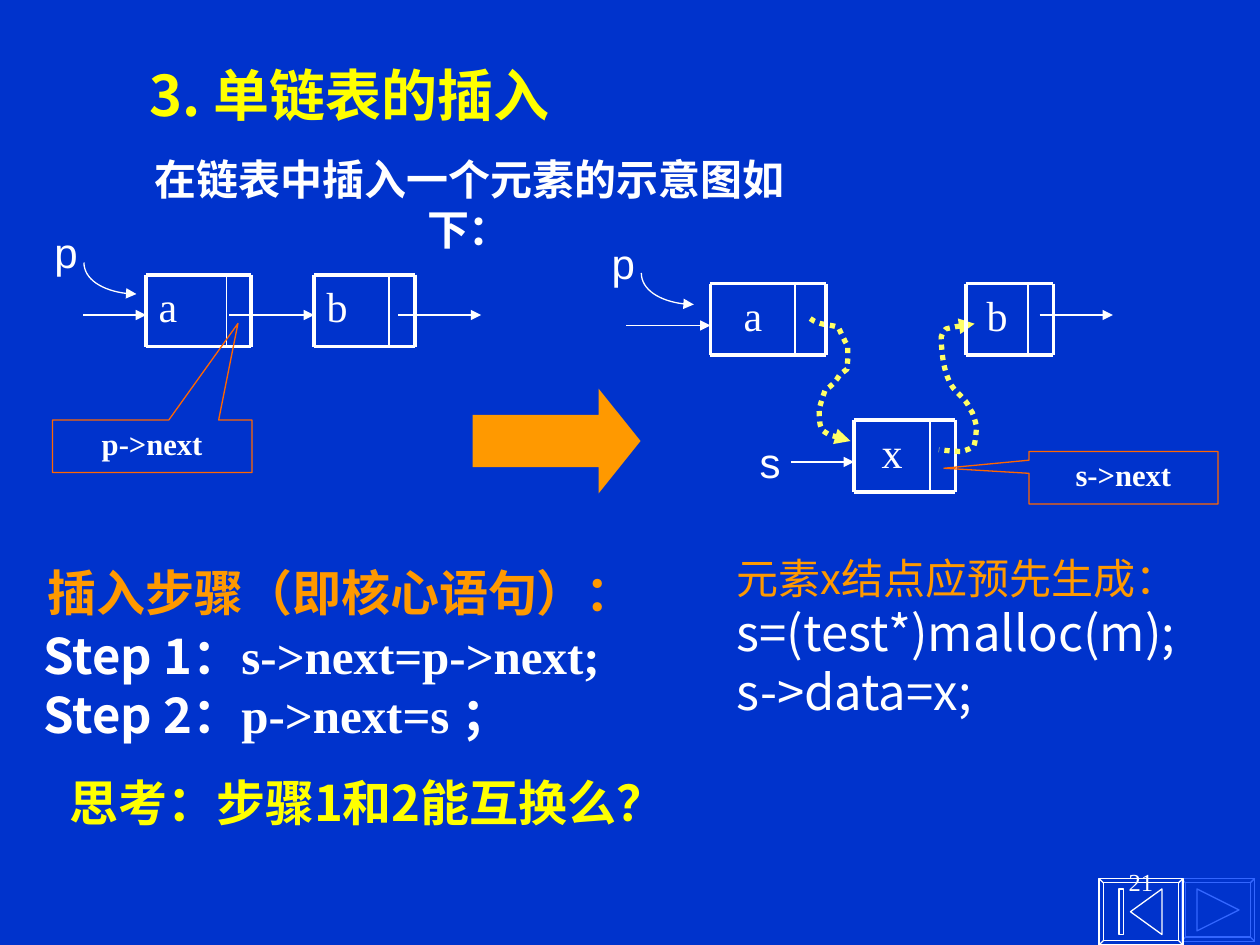
from dataclasses import dataclass
from lxml.etree import SubElement
from pptx import Presentation
from pptx.dml.color import RGBColor as RGB
from pptx.enum.dml import MSO_LINE as Dash
from pptx.enum.shapes import MSO_CONNECTOR as Conn, MSO_SHAPE as Kind
from pptx.enum.text import MSO_ANCHOR as Anchor, PP_ALIGN as Align
from pptx.oxml.ns import qn
from pptx.util import Pt


@dataclass(frozen=True)
class Theme:
    back: str = "0033CC"
    white: str = "FFFFFF"
    yellow: str = "FFFF00"
    orange: str = "FF9900"
    dots: str = "FFFF66"
    rim: str = "FF6600"
    faint: str = "3366FF"
    sans: str = "Noto Sans CJK SC"
    serif: str = "Times New Roman"
    label: str = "Arial"
    head: float = 32
    big: float = 28
    body: float = 24
    note: float = 17.5
    page: float = 14


T = Theme()
OUT = [(463, 182), (468, 186), (473, 185), (479, 187), (481, 191), (482.5, 194.5),
       (484.5, 198), (484.5, 202), (484.5, 207), (484, 211), (483, 212.5),
       (481, 212.5), (480, 214), (479, 215), (479, 216), (477.5, 217.5),
       (476, 220), (471.5, 223), (471.5, 223), (470, 227), (468, 234), (468, 234),
       (468.5, 238), (467.5, 245), (471.5, 247), (474.5, 249), (479.5, 250),
       (482.5, 250.5), (484, 251), (486, 252), (486, 252)]
BACK = [(557, 185), (551, 186), (546.5, 186.5), (540.5, 188), (539.5, 189.5),
        (537, 192), (538, 194.5), (538, 202), (539.5, 215), (545, 222),
        (548, 225.5), (553, 229.5), (554.5, 234), (556, 235.5), (557.5, 241),
        (558, 244), (558, 244), (557.5, 255), (556, 255.5), (553.5, 257),
        (549.5, 258), (549.5, 258), (545, 258), (536.5, 257), (536.5, 257)]


def pts(*vals):
    return [Pt(v) for v in vals]


def style(run, size, color, font=T.sans, bold=False):
    run.font.size = Pt(size)
    run.font.bold = bold
    run.font.name = font
    run.font.color.rgb = RGB.from_string(color)
    east = SubElement(run.font._element, qn("a:ea"))
    east.set("typeface", T.sans)


def write(frame, rows, align=Align.LEFT):
    for i, row in enumerate(rows):
        para = frame.add_paragraph() if i else frame.paragraphs[0]
        para.alignment = align
        para._p.get_or_add_pPr().set("hangingPunct", "0")
        for text, *look in row:
            run = para.add_run()
            run.text = text
            style(run, *look)


def text(box, area, rows, align=Align.LEFT, wrap=True):
    frame = box.add_textbox(*pts(*area)).text_frame
    frame.word_wrap = wrap
    write(frame, rows, align)


def stroke(line, color, width):
    line.color.rgb = RGB.from_string(color)
    line.width = Pt(width)


def tip(shape, end="tailEnd"):
    SubElement(shape.line._get_or_add_ln(), qn("a:" + end)).set("type", "triangle")


def link(box, x1, y1, x2, y2, width=0.75, arrow=True):
    line = box.add_connector(Conn.STRAIGHT, *pts(x1, y1, x2, y2))
    stroke(line.line, T.white, width)
    if arrow:
        tip(line)
    SubElement(line._element.spPr, qn("a:effectLst"))


def hollow(shape, color, width):
    shape.shadow.inherit = False
    shape.fill.background()
    stroke(shape.line, color, width)


def curve(box, dots, color, width, end="tailEnd", dash=None):
    pen = box.build_freeform(*pts(*dots[0]))
    pen.add_line_segments([pts(*d) for d in dots[1:]], close=False)
    shape = pen.convert_to_shape()
    trace = shape._element.find(".//" + qn("a:path"))
    legs = trace.findall(qn("a:lnTo"))
    for i in range(0, len(legs), 3):
        bend = SubElement(trace, qn("a:cubicBezTo"))
        for leg in legs[i:i + 3]:
            bend.append(leg[0])
            trace.remove(leg)
    hollow(shape, color, width)
    if dash:
        shape.line.dash_style = dash
    tip(shape, end)


def node(box, name, x, y, wide, cell, align=Align.CENTER):
    high = 41
    text(box, (x, y, cell, high), [[(name, T.body, T.white, T.serif)]], align)
    for row in (y, y + high):
        link(box, x, row, x + wide, row, 2.25, False)
    for col, width in ((x, 2.25), (x + cell, 1), (x + wide, 2.25)):
        link(box, col, y, col, y + high, width, False)


def label(box, name, x, y):
    text(box, (x, y, 28, 36), [[(name, T.body, T.white, T.label)]])


def head(box, x, y):
    label(box, "p", x, y)
    x, y = x + 24, y + 24
    curve(box, [(x, y), (x, y + 9.6), (x + 13.4, y + 18), (x + 30, y + 18)],
          T.white, 0.75)


def callout(box, name, area, aim):
    shape = box.add_shape(Kind.RECTANGULAR_CALLOUT, *pts(*area))
    hollow(shape, T.rim, 0.75)
    shape.adjustments[0], shape.adjustments[1] = aim
    frame = shape.text_frame
    frame.vertical_anchor = Anchor.MIDDLE
    write(frame, [[(name, T.note, T.white, T.serif, True)]], Align.CENTER)
    frame.paragraphs[0].line_spacing = 0.8


def ring(x, y, wide, high):
    return [(x, y), (x + wide, y), (x + wide, y + high), (x, y + high)]


def button(box, area, color, *icons):
    x, y, wide, high = area
    rim = 2.5
    outer = ring(*area)
    inner = ring(x + rim, y + rim, wide - 2 * rim, high - 2 * rim)
    pen = box.build_freeform(*pts(*outer[0]))
    for i, part in enumerate([outer, inner, *zip(outer, inner), *icons]):
        if i:
            pen.move_to(*pts(*part[0]))
        pen.add_line_segments([pts(*d) for d in part[1:]], close=len(part) > 2)
    hollow(pen.convert_to_shape(), color, 0.75)


def before(box):
    node(box, "a", 83.5, 157, 60, 46, Align.LEFT)
    node(box, "b", 179.5, 157, 57.5, 43, Align.LEFT)
    for x1, x2 in [(47.5, 83.5), (131, 179.5), (227.5, 275)]:
        link(box, x1, 180, x2, 180)
    head(box, 24, 126)


def after(box):
    node(box, "b", 552, 162, 50, 35.5)
    node(box, "a", 406, 162, 66, 48.5)
    link(box, 358, 186, 406, 186)
    link(box, 594, 180, 636, 180)
    head(box, 342.5, 132)


def fresh(box):
    node(box, "x", 488, 240, 58, 43.5)
    link(box, 452, 264, 488, 264)
    label(box, "s", 427, 246)


def main():
    deck = Presentation()
    deck.slide_width, deck.slide_height = pts(720, 540)
    slide = deck.slides.add_slide(deck.slide_layouts[5])
    slide.background.fill.solid()
    slide.background.fill.fore_color.rgb = RGB.from_string(T.back)
    box = slide.shapes

    title = box.title
    title.left, title.top, title.width, title.height = pts(78, 24, 390, 60)
    title.text_frame.vertical_anchor = Anchor.MIDDLE
    write(title.text_frame, [[("3. 单链表的插入", T.head, T.yellow, T.sans, True)]])

    text(box, (516, 492, 150, 36), [[("21", T.page, T.white, T.serif)]], Align.RIGHT)
    text(box, (57, 84, 422, 36),
         [[("在链表中插入一个元素的示意图如下：", T.body, T.white, T.sans, True)]],
         Align.CENTER, False)

    fresh(box.add_group_shape().shapes)
    curve(box, OUT, T.dots, 3, dash=Dash.ROUND_DOT)
    curve(box, BACK, T.dots, 3, "headEnd", Dash.ROUND_DOT)
    after(box.add_group_shape().shapes)
    before(box.add_group_shape().shapes)

    text(box, (20, 318, 350, 41),
         [[("插入步骤（即核心语句）：", T.big, T.orange, T.sans, True)]],
         Align.CENTER, False)
    steps = [("Step 1：", "s->next=p->next;"), ("Step 2：", "p->next=s ；")]
    text(box, (18, 354, 348, 108),
         [[(step, T.big, T.white, T.sans, True), (code, T.big, T.white, T.serif, True)]
          for step, code in steps])
    callout(box, "p->next", (30, 240, 114, 30), (0.43, -2.34))
    callout(box, "s->next", (588, 258, 108, 30), (-0.95, -0.18))

    arrow = box.add_shape(Kind.RIGHT_ARROW, *pts(270, 222, 96, 60))
    arrow.shadow.inherit = False
    arrow.adjustments[1] = 0.4
    arrow.fill.solid()
    arrow.fill.fore_color.rgb = RGB.from_string(T.orange)
    arrow.line.fill.background()

    text(box, (30, 438, 360, 41),
         [[("思考：步骤1和2能互换么？", T.big, T.yellow, T.sans, True)]], Align.CENTER)
    text(box, (414, 312, 276, 137),
         [[("元素x结点应预先生成：", T.body, T.orange)],
          [("s=(test*)malloc(m);", T.big, T.white)],
          [("s->data=x;", T.big, T.white)]])

    button(box, (675, 502, 42, 36), T.faint, [(684, 508), (708, 520), (684, 532)])
    button(box, (628, 502, 48, 38), T.white,
           [(646, 521), (664, 508), (664, 534)], ring(639.5, 508, 2.5, 26))
    deck.save("out.pptx")


if __name__ == "__main__":
    main()
